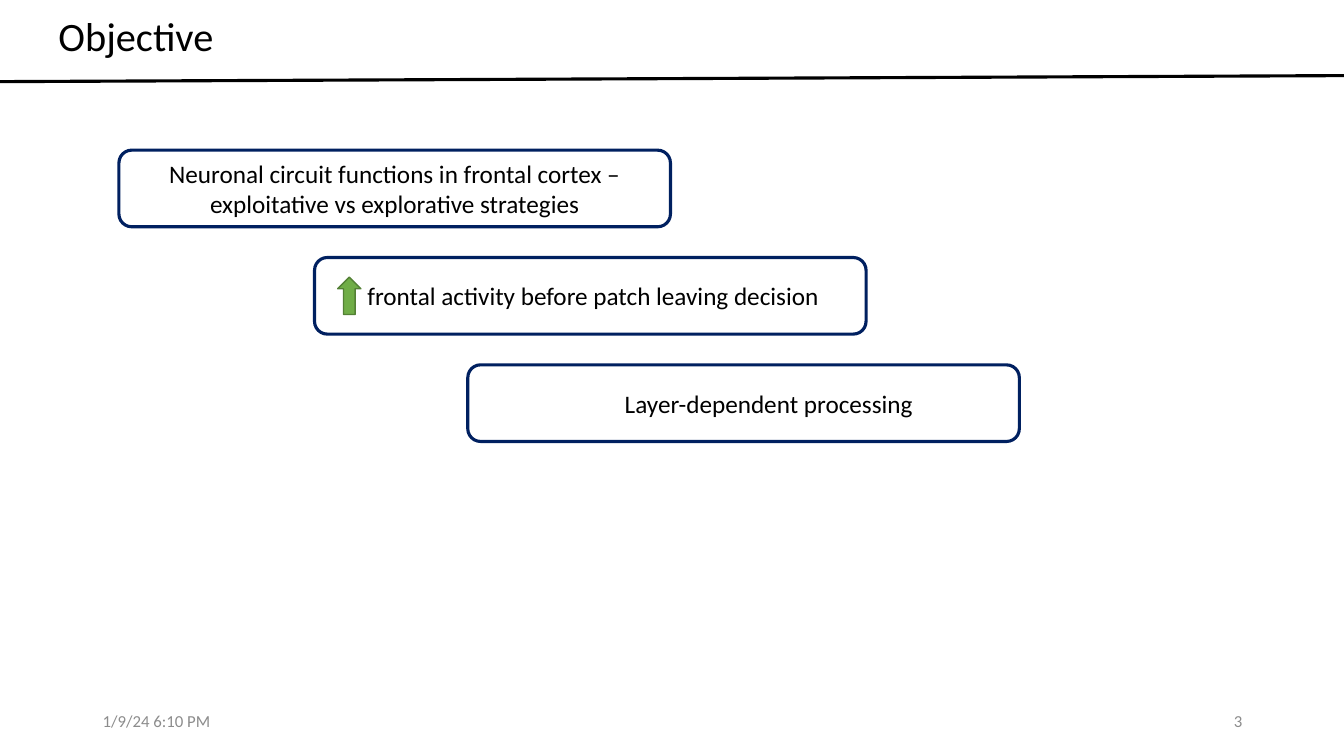
from pptx import Presentation
from pptx.dml.color import RGBColor
from pptx.enum.shapes import MSO_CONNECTOR as Link, MSO_SHAPE as Kind
from pptx.enum.text import MSO_ANCHOR as Anchor, PP_ALIGN as Align
from pptx.oxml.ns import qn
from pptx.util import Inches as In, Pt

BLACK = RGBColor(0x00, 0x00, 0x00)
NAVY = RGBColor(0x00, 0x20, 0x60)
GREEN = RGBColor(0x70, 0xAD, 0x47)
MOSS = RGBColor(0x53, 0x80, 0x35)
GRAY = RGBColor(0x8C, 0x8C, 0x8C)

WIDE, HIGH = 13.33, 7.5
TOP, STEP = 1.49, 1.065
BOX_W, BOX_H = 5.47, 0.76


def write(shape, text, size, color, align):
    frame = shape.text_frame
    frame.word_wrap = True
    frame.vertical_anchor = Anchor.MIDDLE
    para = frame.paragraphs[0]
    para.alignment = align
    run = para.add_run()
    run.text = text
    look = {"name": "Calibri", "size": Pt(size), "bold": False}
    for key, value in look.items():
        setattr(run.font, key, value)
    run.font.color.rgb = color
    return para


def draw(kind, left, top, width, height, edge, weight):
    shape = slide.shapes.add_shape(kind, In(left), In(top), In(width), In(height))
    shape.shadow.inherit = False
    shape.fill.background()
    shape.line.color.rgb = edge
    shape.line.width = Pt(weight)
    return shape


deck = Presentation()
deck.slide_width, deck.slide_height = In(WIDE), In(HIGH)
slide = deck.slides.add_slide(deck.slide_layouts[5])

# Title and rule
title = slide.shapes.title
place = {"left": 0.48, "top": 0.15, "width": 11.5, "height": 0.47}
for key, value in place.items():
    setattr(title, key, In(value))
write(title, "Objective", 28.8, BLACK, Align.LEFT).line_spacing = 0.9

rule = slide.shapes.add_connector(Link.STRAIGHT, 0, In(0.81), In(WIDE), In(0.75))
rule.line.color.rgb = BLACK
rule.line.width = Pt(2.25)
props = rule._element.spPr
props.append(props.makeelement(qn("a:effectLst"), {}))

# Cascade of aims: left edge, indent, text
aims = [
    (1.18, 0, "Neuronal circuit functions in frontal cortex – "
              "exploitative vs explorative strategies"),
    (3.12, 0, " frontal activity before patch leaving decision"),
    (4.64, 0.5, "Layer-dependent processing"),
]
for row, (left, indent, text) in enumerate(aims):
    box = draw(Kind.ROUNDED_RECTANGLE, left, TOP + row * STEP, BOX_W, BOX_H, NAVY, 2.25)
    para = write(box, text, 18, BLACK, Align.CENTER)
    if indent:
        para.level = 1
        para._p.get_or_add_pPr().set("marL", str(In(indent)))

arrow = draw(Kind.UP_ARROW, 3.35, 2.75, 0.23, 0.37, MOSS, 1)
arrow.fill.solid()
arrow.fill.fore_color.rgb = GREEN

# Footer
for left, text, align in [(0.92, "1/9/24 6:10 PM", Align.LEFT), (9.42, "3", Align.RIGHT)]:
    foot = slide.shapes.add_textbox(In(left), In(6.95), In(3), In(0.4))
    write(foot, text, 12, GRAY, align)

deck.save("out.pptx")
